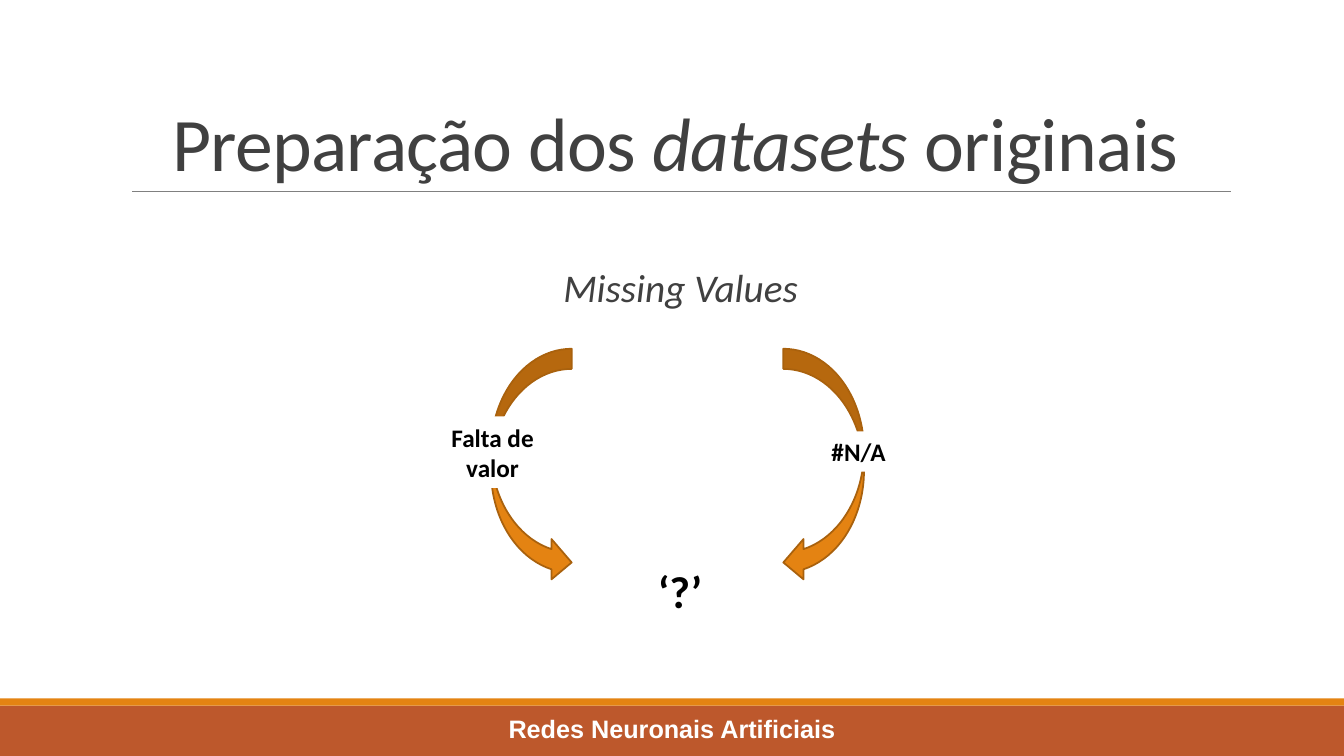
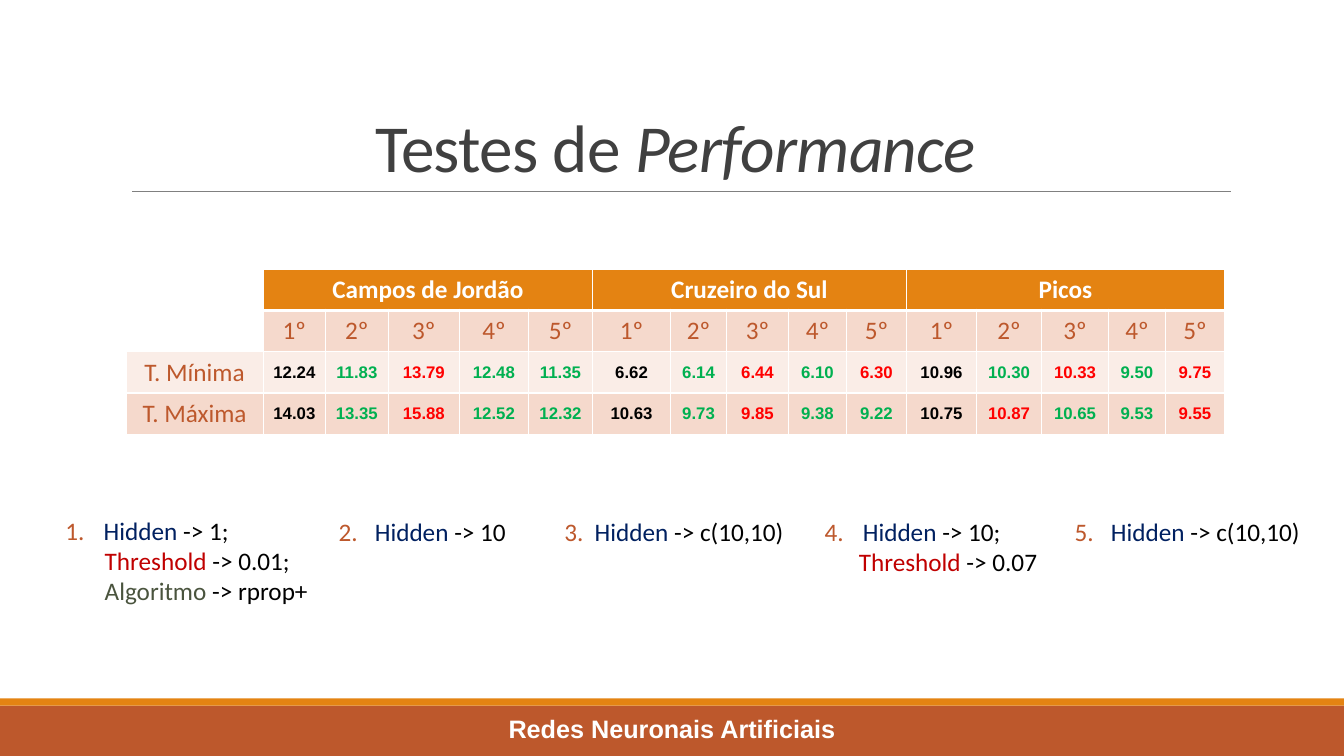
from pptx import Presentation
from pptx.dml.color import RGBColor
from pptx.enum.shapes import MSO_CONNECTOR, MSO_SHAPE as SHAPE
from pptx.enum.text import MSO_ANCHOR as ANCHOR, PP_ALIGN as ALIGN
from pptx.oxml.ns import qn
from pptx.util import Pt
from lxml.etree import SubElement

PX = 9144  # 100 px to the inch
ORANGE, RUST, DARK, WHITE, BLACK = "E48312", "BD582C", "404040", "FFFFFF", "000000"
PINK, PALE, GREEN, RED = "F5D9CC", "FAEDE7", "00B050", "FF0000"
NAVY, CRIMSON, OLIVE = "002060", "C00000", "4A543E"
rgb = RGBColor.from_string

BODY = dict(name="Calibri", size=Pt(18), color=BLACK)
LABEL = dict(BODY, bold=True)
TITLE = dict(BODY, color=DARK)
FOOTER = dict(LABEL, name="Arial", color=WHITE)
SCORE = dict(LABEL, name="Arial", size=Pt(12))


def add_block(s, kind, at, fill=None, line=None):
    """Add a preset shape, or a text box when kind is None."""
    at = [v * PX for v in at]
    if kind is None:
        sp = s.shapes.add_textbox(*at)
    else:
        sp = s.shapes.add_shape(kind, *at)
        sp.shadow.inherit = False
        sp.fill.solid()
        sp.fill.fore_color.rgb = rgb(fill)
        if line:
            sp.line.color.rgb, sp.line.width = rgb(line), Pt(1.25)
        else:
            sp.line.fill.background()
    sp.text_frame.word_wrap = True
    return sp


def write(p, runs, style, align=ALIGN.CENTER):
    """Fill a paragraph with (text, changes to the style) runs."""
    p.alignment = align
    for text, changes in runs:
        r = p.add_run()
        r.text = text
        for key, value in {**style, **changes}.items():
            if key == "color":
                r.font.color.rgb = rgb(value)
            else:
                setattr(r.font, key, value)


prs = Presentation()
prs.slide_width, prs.slide_height = 1333 * PX, 750 * PX

# Shared parts: bands, title with rule, footer
ITALIC = dict(italic=True)
titles = [
    (54, [("Preparação dos ", {}), ("datasets", ITALIC), (" originais", {})]),
    (48, [("Testes de ", {}), ("Performance", ITALIC)]),
]
slides = []
for size, runs in titles:
    s = prs.slides.add_slide(prs.slide_layouts[6])
    slides.append(s)
    add_block(s, SHAPE.RECTANGLE, (0, 700, 1333, 50), RUST)
    add_block(s, SHAPE.RECTANGLE, (0, 693, 1333, 7), ORANGE)

    rule = s.shapes.add_connector(MSO_CONNECTOR.STRAIGHT, 131 * PX, 190 * PX, 1221 * PX, 190 * PX)
    rule.line.color.rgb, rule.line.width = rgb("808080"), Pt(0.5)
    SubElement(rule._element.spPr, qn("a:effectLst"))

    tf = add_block(s, None, (120, 31, 1100, 159)).text_frame
    tf.vertical_anchor = ANCHOR.BOTTOM
    p = tf.paragraphs[0]
    p.line_spacing = 0.85
    write(p, runs, dict(TITLE, size=Pt(size)))
    for r in p.runs:
        r.font._element.set("spc", "-50")

    tf = add_block(s, None, (5, 703, 1323, 40)).text_frame
    write(tf.paragraphs[0], [("Redes Neuronais Artificiais", {})], FOOTER)

# Slide 1: missing values become '?'
s = slides[0]
tf = add_block(s, None, (125, 262, 1100, 60)).text_frame
p = tf.paragraphs[0]
p.line_spacing = 0.9
write(p, [("Missing Values", ITALIC)], dict(TITLE, size=Pt(28)))

tf = add_block(s, None, (620, 554, 109, 64)).text_frame
write(tf.paragraphs[0], [("‘?’", {})], dict(LABEL, size=Pt(32)))

cases = [
    (487, False, "Falta de valor", (434, 413, 109, 71)),
    (777, True, "#N/A", (797, 428, 109, 40)),
]
for x, flipped, text, at in cases:
    arrow = add_block(s, SHAPE.CURVED_RIGHT_ARROW, (x, 346, 80, 232), ORANGE, "A9610D")
    if flipped:
        arrow._element.spPr.find(qn("a:xfrm")).set("flipH", "1")
    tf = add_block(s, SHAPE.RECTANGLE, at, WHITE).text_frame
    write(tf.paragraphs[0], [(text, {})], LABEL)

# Slide 2: table of errors per city and test
s = slides[1]
cities = ["Campos de Jordão", "Cruzeiro do Sul", "Picos"]
TESTS = 5
scores = {
    "T. Mínima": [12.24, 11.83, 13.79, 12.48, 11.35, 6.62, 6.14, 6.44, 6.10, 6.30,
                  10.96, 10.30, 10.33, 9.50, 9.75],
    "T. Máxima": [14.03, 13.35, 15.88, 12.52, 12.32, 10.63, 9.73, 9.85, 9.38, 9.22,
                  10.75, 10.87, 10.65, 9.53, 9.55],
}
widths = [136, 62, 62, 71, 68, 64, 77, 56, 61, 58, 59, 70, 64, 67, 56, 59]
HEAD, SUBHEAD = dict(LABEL, color=WHITE), dict(BODY, color=RUST)

# Each cell: text, style, fill; a score is red when worse than the test before
grid = [[("", BODY, None)], [("", BODY, None)]]
for col in range(len(cities) * TESTS):
    city, test = divmod(col, TESTS)
    grid[0].append((cities[city] if test == 0 else "", HEAD, ORANGE))
    grid[1].append((f"{test + 1}º", SUBHEAD, PINK))
for (name, values), fill in zip(scores.items(), (PALE, PINK)):
    row = [(name, SUBHEAD, fill)]
    for col, value in enumerate(values):
        if col % TESTS == 0:
            color = BLACK
        else:
            color = RED if value > values[col - 1] else GREEN
        row.append((f"{value:.2f}", dict(SCORE, color=color), fill))
    grid.append(row)

table = s.shapes.add_table(len(grid), len(widths), 125 * PX, 267 * PX,
                           sum(widths) * PX, 41 * len(grid) * PX).table
table.first_row = table.horz_banding = False
for column, width in zip(table.columns, widths):
    column.width = width * PX
for i, row in enumerate(grid):
    table.rows[i].height = 41 * PX
    for j, (text, style, fill) in enumerate(row):
        cell = table.cell(i, j)
        cell.vertical_anchor = ANCHOR.MIDDLE
        cell.margin_left = cell.margin_right = 5 * PX
        if text:
            write(cell.text_frame.paragraphs[0], [(text, {})], style)
        tcPr = cell._tc.get_or_add_tcPr()
        for side in ("lnL", "lnR", "lnT", "lnB") if fill else ():
            thick = (i, side) in ((0, "lnB"), (1, "lnT"))
            ln = SubElement(tcPr, qn(f"a:{side}"), w=str(Pt(3 if thick else 1)))
            SubElement(SubElement(ln, qn("a:solidFill")), qn("a:srgbClr"), val=WHITE)
        if fill:
            cell.fill.solid()
            cell.fill.fore_color.rgb = rgb(fill)
        else:
            cell.fill.background()
table.cell(0, 0).merge(table.cell(1, 0))
for first in range(1, len(widths), TESTS):
    table.cell(0, first).merge(table.cell(0, first + TESTS - 1))

# Settings of each test: box, indents of first and further lines, parameters
KEY_COLORS = dict(Hidden=NAVY, Threshold=CRIMSON, Algoritmo=OLIVE)
settings = [
    ((55, 506, 271, 101), 38, 39, [("Hidden", "1;"), ("Threshold", "0.01;"), ("Algoritmo", "rprop+")]),
    ((326, 507, 224, 40), 36, 36, [("Hidden", "10")]),
    ((550, 507, 283, 40), 30, 30, [("Hidden", "c(10,10)")]),
    ((808, 507, 237, 71), 38, 34, [("Hidden", "10;"), ("Threshold", "0.07")]),
    ((1056, 507, 252, 40), 36, 36, [("Hidden", "c(10,10)")]),
]
for number, (at, hang, indent, params) in enumerate(settings, 1):
    tf = add_block(s, None, at).text_frame
    for k, (key, value) in enumerate(params):
        p = tf.add_paragraph() if k else tf.paragraphs[0]
        write(p, [(key, dict(color=KEY_COLORS[key])), (f" -> {value}", {})], BODY, ALIGN.LEFT)
        pPr = p._p.get_or_add_pPr()
        pPr.set("marL", str((indent if k else hang) * PX))
        if k == 0:
            pPr.set("indent", str(-hang * PX))
            SubElement(SubElement(pPr, qn("a:buClr")), qn("a:srgbClr"), val=RUST)
            SubElement(pPr, qn("a:buFont"), typeface="Calibri")
            SubElement(pPr, qn("a:buAutoNum"), type="arabicPeriod", startAt=str(number))

prs.save("out.pptx")
